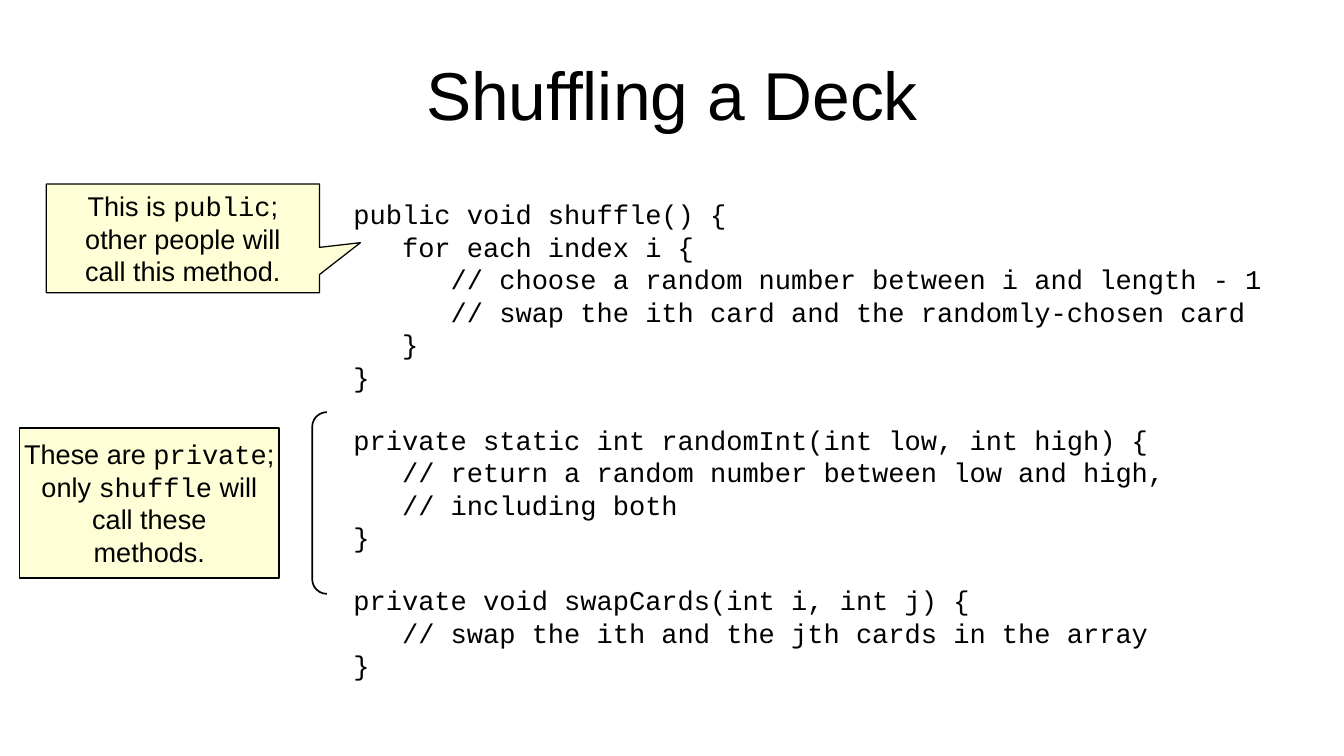
from dataclasses import dataclass

from pptx import Presentation
from pptx.dml.color import RGBColor
from pptx.enum.shapes import MSO_SHAPE as Shape
from pptx.enum.text import MSO_ANCHOR as Anchor, PP_ALIGN as Align
from pptx.util import Inches, Pt


@dataclass(frozen=True)
class Theme:
    ink: RGBColor = RGBColor(0x00, 0x00, 0x00)
    note_fill: RGBColor = RGBColor(0xFF, 0xFF, 0xD7)
    prose: str = "Arial"
    mono: str = "Courier New"
    title_size: int = 40
    body_size: int = 16
    method_gap: float = 18.1


THEME = Theme()

METHODS = [
    """public void shuffle() {
   for each index i {
      // choose a random number between i and length - 1
      // swap the ith card and the randomly-chosen card
   }
}""",
    """private static int randomInt(int low, int high) {
   // return a random number between low and high,
   // including both
}""",
    """private void swapCards(int i, int j) {
   // swap the ith and the jth cards in the array
}""",
]

# Backticks set off the words in the code font
PUBLIC_NOTE = ["This is `public`;", "other people will", "call this method."]
PRIVATE_NOTE = ["These are `private`;", "only `shuffle` will", "call these", "methods."]


def write_line(frame, text, *, first=False, font=THEME.prose,
               size=THEME.body_size, align=Align.LEFT, before=0):
    """Write one paragraph; text between backticks takes the code font."""
    line = frame.paragraphs[0] if first else frame.add_paragraph()
    line.alignment = align
    if before:
        line.space_before = Pt(before)
    for part, words in enumerate(text.split("`")):
        run = line.add_run()
        run.text = words
        run.font.name = THEME.mono if part % 2 else font
        run.font.size = Pt(size)
        run.font.color.rgb = THEME.ink


def set_frame(frame, *, across, down, wrap, anchor=Anchor.MIDDLE):
    frame.margin_left = frame.margin_right = Inches(across)
    frame.margin_top = frame.margin_bottom = Inches(down)
    frame.word_wrap = wrap
    frame.vertical_anchor = anchor


def add_outline(slide, kind, box, *, width):
    outline = slide.shapes.add_shape(kind, *map(Inches, box))
    outline.shadow.inherit = False
    outline.line.color.rgb = THEME.ink
    outline.line.width = Pt(width)
    return outline


def add_title(slide, text, box):
    frame = slide.shapes.add_textbox(*map(Inches, box)).text_frame
    set_frame(frame, across=0, down=0, wrap=True)
    write_line(frame, text, first=True, size=THEME.title_size, align=Align.CENTER)


def add_code(slide, methods, box):
    frame = slide.shapes.add_textbox(*map(Inches, box)).text_frame
    set_frame(frame, across=0.1, down=0.05, wrap=True, anchor=Anchor.TOP)
    for m, method in enumerate(methods):
        for n, text in enumerate(method.splitlines()):
            gap = THEME.method_gap if m and n == 0 else 0
            write_line(frame, text, first=m == n == 0, font=THEME.mono, before=gap)


def add_note(slide, kind, lines, box, *, width, across, down):
    note = add_outline(slide, kind, box, width=width)
    note.fill.solid()
    note.fill.fore_color.rgb = THEME.note_fill
    set_frame(note.text_frame, across=across, down=down, wrap=False)
    for n, text in enumerate(lines):
        write_line(note.text_frame, text, first=n == 0, align=Align.CENTER)
    return note


def main():
    deck = Presentation()
    deck.slide_width, deck.slide_height = Inches(11.02), Inches(6.2)
    slide = deck.slides.add_slide(deck.slide_layouts[6])

    # Title and code
    add_title(slide, "Shuffling a Deck", (0.55, 0.25, 9.92, 1.04))
    add_code(slide, METHODS, (2.8, 1.57, 7.66, 4.12))

    # Note pointing at the public method
    public_note = add_note(slide, Shape.RECTANGULAR_CALLOUT, PUBLIC_NOTE,
                           (0.38, 1.51, 2.24, 0.89), width=0, across=0.1, down=0.05)
    public_note.adjustments[0] = 0.65
    public_note.adjustments[1] = 0.04

    # Note and bracket for the private methods
    add_note(slide, Shape.RECTANGLE, PRIVATE_NOTE, (0.16, 3.51, 2.13, 1.23),
             width=1, across=0.11, down=0.06)
    bracket = add_outline(slide, Shape.LEFT_BRACKET, (2.56, 3.38, 0.12, 1.49), width=1)
    bracket.fill.background()
    bracket.adjustments[0] = 1

    deck.save("out.pptx")


if __name__ == "__main__":
    main()
